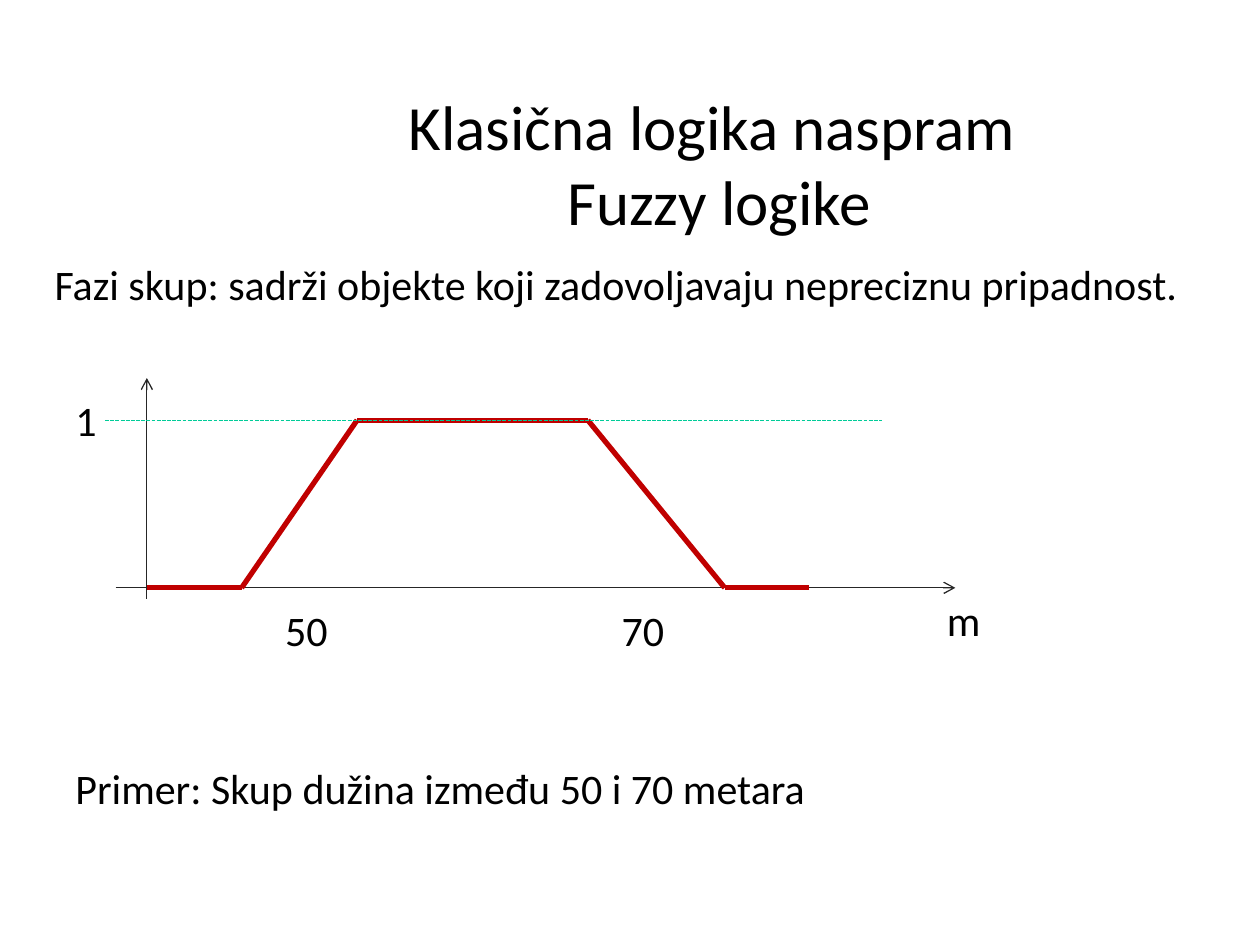
import itertools

import pptx
import pptx.dml.color
import pptx.enum.dml
import pptx.enum.shapes
import pptx.enum.text
import pptx.oxml
import pptx.oxml.ns
import pptx.util

Cm = pptx.util.Cm
COLORS = {"text": "000000", "axis": "262626", "membership": "C00000", "level": "00CC98"}
FONT = "Calibri"


def rgb(name):
    return pptx.dml.color.RGBColor.from_string(COLORS[name])


def add_run(paragraph, text, size):
    run = paragraph.add_run()
    run.text = text
    run.font.name = FONT
    run.font.size = pptx.util.Pt(size)
    run.font.color.rgb = rgb("text")


def add_text(slide, box, lines, size=24, wrap=True, centered=False):
    left, top, width, height = box
    frame = slide.shapes.add_textbox(Cm(left), Cm(top), Cm(width), Cm(height)).text_frame
    frame.word_wrap = wrap
    paragraph = frame.paragraphs[0]
    if centered:
        frame.vertical_anchor = pptx.enum.text.MSO_ANCHOR.MIDDLE
        paragraph.alignment = pptx.enum.text.PP_ALIGN.CENTER
    for index, line in enumerate(lines):
        if index:
            paragraph.add_line_break()
        add_run(paragraph, line, size)


def add_line(slide, start, end, color, width=0.75, arrow=False, dashed=False):
    line = slide.shapes.add_connector(
        pptx.enum.shapes.MSO_CONNECTOR.STRAIGHT,
        Cm(start[0]), Cm(start[1]), Cm(end[0]), Cm(end[1]))
    line.line.color.rgb = rgb(color)
    line.line.width = pptx.util.Pt(width)
    if dashed:
        line.line.dash_style = pptx.enum.dml.MSO_LINE.SQUARE_DOT
    properties = line.element.spPr
    if arrow:
        tail = pptx.oxml.parse_xml(
            f'<a:tailEnd {pptx.oxml.ns.nsdecls("a")} type="arrow"/>')
        properties.find(pptx.oxml.ns.qn("a:ln")).append(tail)
    properties.append(pptx.oxml.parse_xml(f'<a:effectLst {pptx.oxml.ns.nsdecls("a")}/>'))


def add_title(slide, box):
    add_text(slide, box, ["Klasična logika naspram ", "Fuzzy logike"], 36, centered=True)


def add_statement(slide, box, statement):
    add_text(slide, box, [statement])


def add_membership_graph(slide, left, top):
    def at(x, y):
        return left + x, top + y

    base, level, origin = 4.23, 0.85, 1.69
    add_line(slide, at(origin, 4.45), at(origin, 0), "axis", arrow=True)
    add_line(slide, at(1.06, base), at(17.99, base), "axis", arrow=True)

    membership = [(origin, base), (3.6, base), (5.93, level),
                  (10.58, level), (13.34, base), (15.03, base)]
    for start, end in itertools.pairwise(membership):
        add_line(slide, at(*start), at(*end), "membership", width=3)
    add_line(slide, at(0.85, level), at(16.51, level), "level", dashed=True)

    labels = [("50", 4.23, 4.45, 1.37), ("70", 11.01, 4.45, 1.37),
              ("m", 17.57, base, 1.17), ("1", 0, 0.21, 0.94)]
    for label, x, y, width in labels:
        add_text(slide, (*at(x, y), width, 1.27), [label], wrap=False)


def main():
    presentation = pptx.Presentation()
    presentation.slide_width = Cm(25.4)
    presentation.slide_height = Cm(19.05)
    slide = presentation.slides.add_slide(presentation.slide_layouts[6])
    add_title(slide, (5.5, 1.69, 17.99, 3.18))
    add_statement(slide, (0.85, 5.08, 23.28, 2.28),
                  "Fazi skup: sadrži objekte koji zadovoljavaju nepreciznu pripadnost.")
    add_statement(slide, (1.27, 15.24, 22.01, 1.27),
                  "Primer: Skup dužina između 50 i 70 metara")
    add_membership_graph(slide, 1.27, 7.62)
    presentation.save("out.pptx")


if __name__ == "__main__":
    main()
